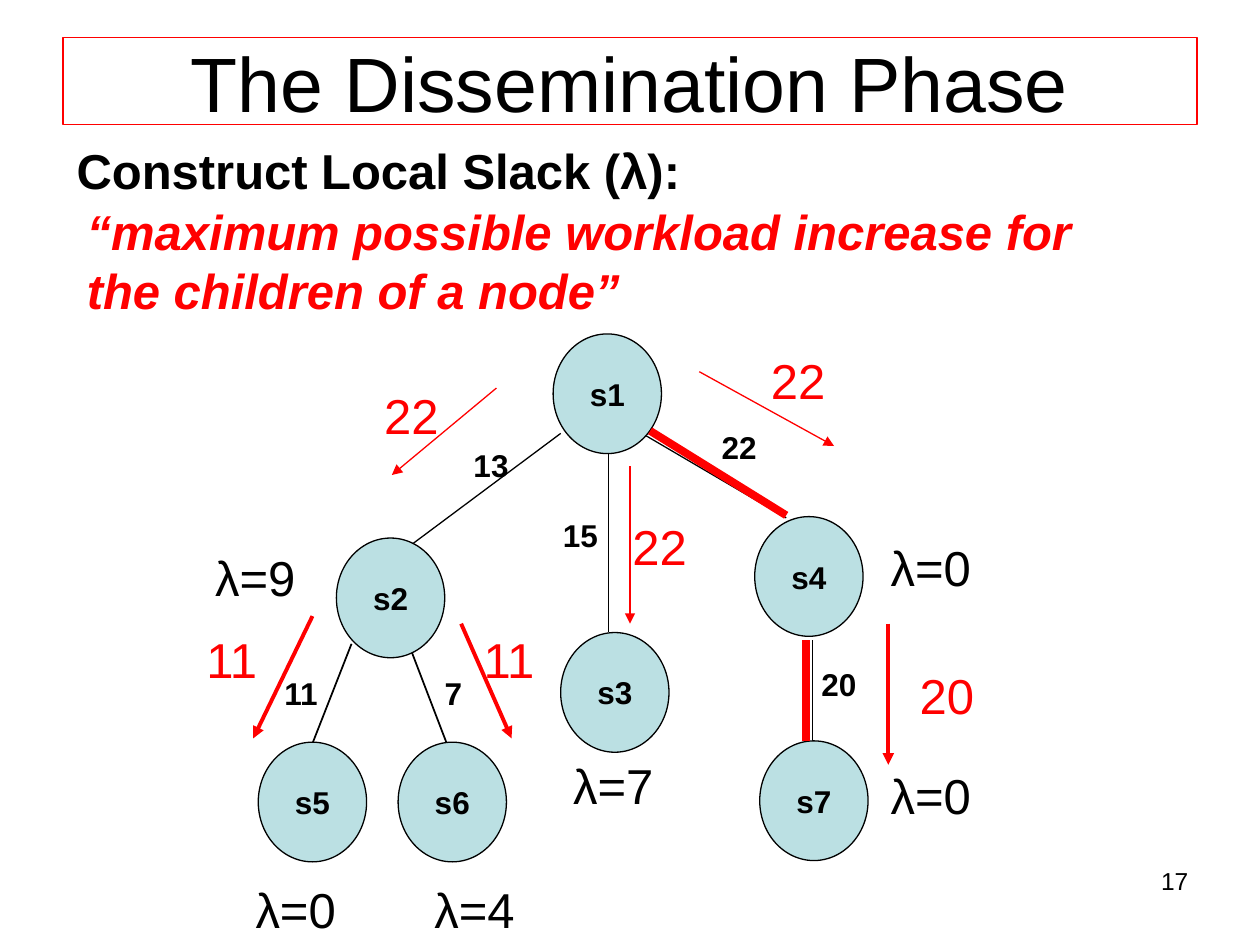
from pptx import Presentation
from pptx.dml.color import RGBColor
from pptx.enum.shapes import MSO_CONNECTOR as Connector, MSO_SHAPE as Shape
from pptx.enum.text import MSO_ANCHOR as Anchor, PP_ALIGN as Align
from pptx.oxml.ns import qn
from pptx.util import Inches, Pt
from lxml.etree import SubElement

BLACK = RGBColor(0, 0, 0)
RED = RGBColor(0xFF, 0, 0)
PALE_BLUE = RGBColor(0xBB, 0xE0, 0xE3)

TITLE = "The Dissemination Phase"
HEADING = "Construct Local Slack (λ):"
DEFINITION = "“maximum possible workload increase for the children of a node”"
PAGE_NUMBER = "17"

NODE_SIZE = (0.86, 0.95)
SLACK_SIZE = (0.86, 0.57)
WEIGHT_SIZE = (0.86, 0.4)

# name: left, top
NODES = {
    "s1": (4.39, 2.65), "s2": (2.67, 4.27), "s3": (4.45, 5.02), "s4": (5.99, 4.1),
    "s5": (2.05, 5.89), "s6": (3.16, 5.89), "s7": (6.03, 5.88),
}
# start, end, line width
EDGES = [
    ((3.27, 5.18), (3.58, 5.99), 1),
    ((2.79, 5.11), (2.48, 5.9), 1),
    ((4.83, 3.6), (4.83, 5.02), 1),
    ((3.27, 4.32), (4.45, 3.44), 0.75),
    ((6.24, 4.11), (5.13, 3.46), 0.75),
    ((6.45, 5.88), (6.45, 5.08), 0.75),
]
CRITICAL_PATH = [((5.16, 3.42), (6.24, 4.09)), ((6.4, 5.08), (6.4, 5.88))]
# text, left, top
WEIGHTS = [
    ("11", 2.16, 5.3), ("22", 5.63, 3.35), ("15", 4.37, 4.05),
    ("13", 3.66, 3.49), ("7", 3.43, 5.3), ("20", 6.42, 5.23),
]
SLACKS = [
    ("λ=0", 6.97, 6.03), ("λ=7", 4.45, 5.95), ("λ=0", 6.97, 4.22),
    ("λ=9", 1.61, 4.3), ("λ=4", 3.35, 6.93), ("λ=0", 1.93, 6.93),
]
# value, box, arrow start, arrow end, arrow width
MESSAGES = [
    ("22", (2.95, 3.01, 1.32, 0.57), (3.94, 3.08), (3.11, 3.77), 0.75),
    ("22", (6.02, 2.73, 1.32, 0.57), (5.55, 2.95), (6.62, 3.54), 0.75),
    ("22", (4.92, 4.05, 1.32, 0.57), (5, 3.7), (5, 4.95), 0.75),
    ("20", (7.2, 5.23, 1.81, 0.57), (7.05, 4.95), (7.05, 6.07), 2.25),
    ("11", (1.54, 4.95, 1.34, 0.57), (2.48, 4.89), (2.01, 5.86), 2.25),
    ("11", (3.74, 4.95, 0.87, 0.57), (3.66, 4.95), (4.06, 5.86), 2.25),
]


def write(shape, text, size, color=BLACK, bold=False, italic=False, align=Align.LEFT):
    para = shape.text_frame.paragraphs[0]
    para.alignment = align
    span = para.add_run()
    span.text = text
    font = span.font
    font.name, font.size, font.bold, font.italic = "Arial", Pt(size), bold, italic
    font.color.rgb = color


def add_text(page, area, text, size, **style):
    box = page.shapes.add_textbox(*map(Inches, area))
    box.text_frame.word_wrap = True
    write(box, text, size, **style)


def add_outlined(page, kind, area, line_color, fill_color=None):
    """Add a thin-lined shape with vertically centred text."""
    shape = page.shapes.add_shape(kind, *map(Inches, area))
    shape.shadow.inherit = False
    if fill_color is None:
        shape.fill.background()
    else:
        shape.fill.solid()
        shape.fill.fore_color.rgb = fill_color
    shape.line.color.rgb = line_color
    shape.line.width = Pt(0.75)
    shape.text_frame.vertical_anchor = Anchor.MIDDLE
    return shape


def add_line(page, start, end, width, color=BLACK, arrow=False):
    line = page.shapes.add_connector(Connector.STRAIGHT, *map(Inches, start + end))
    line.line.color.rgb = color
    line.line.width = Pt(width)
    if arrow:
        SubElement(line.line._get_or_add_ln(), qn("a:tailEnd"), type="triangle")
    SubElement(line._element.spPr, qn("a:effectLst"))


def main():
    deck = Presentation()
    deck.slide_width, deck.slide_height = Inches(10), Inches(7.5)
    page = deck.slides.add_slide(deck.slide_layouts[6])

    title = add_outlined(page, Shape.RECTANGLE, (0.5, 0.3, 9, 0.69), RED)
    title.text_frame.word_wrap = True
    write(title, TITLE, 44, align=Align.CENTER)
    add_text(page, (0.51, 1.07, 5.83, 0.57), HEADING, 28, bold=True)
    add_text(page, (0.59, 1.55, 8.35, 1.04), DEFINITION, 28,
             color=RED, bold=True, italic=True)

    for start, end, width in EDGES:
        add_line(page, start, end, width)
    for name, corner in NODES.items():
        node = add_outlined(page, Shape.OVAL, corner + NODE_SIZE, BLACK, PALE_BLUE)
        node.text_frame.word_wrap = False
        write(node, name, 18, bold=True, align=Align.CENTER)
    for text, *corner in WEIGHTS:
        add_text(page, (*corner, *WEIGHT_SIZE), text, 18, bold=True)
    for start, end in CRITICAL_PATH:
        add_line(page, start, end, 4.5, RED)

    for value, area, start, end, width in MESSAGES:
        add_text(page, area, value, 28, color=RED)
        add_line(page, start, end, width, RED, arrow=True)
    for text, *corner in SLACKS:
        add_text(page, (*corner, *SLACK_SIZE), text, 28)
    add_text(page, (7.2, 6.82, 2.33, 0.52), PAGE_NUMBER, 14, align=Align.RIGHT)

    deck.save("out.pptx")


if __name__ == "__main__":
    main()
